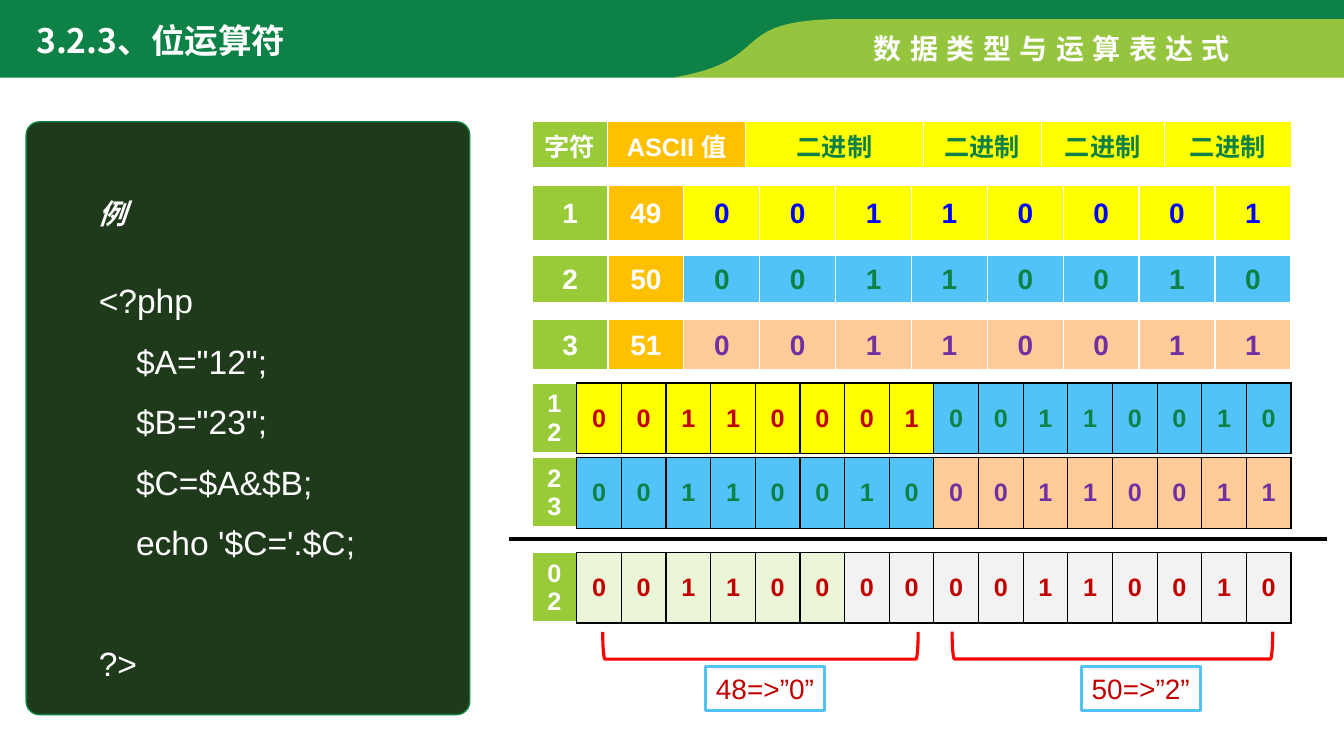
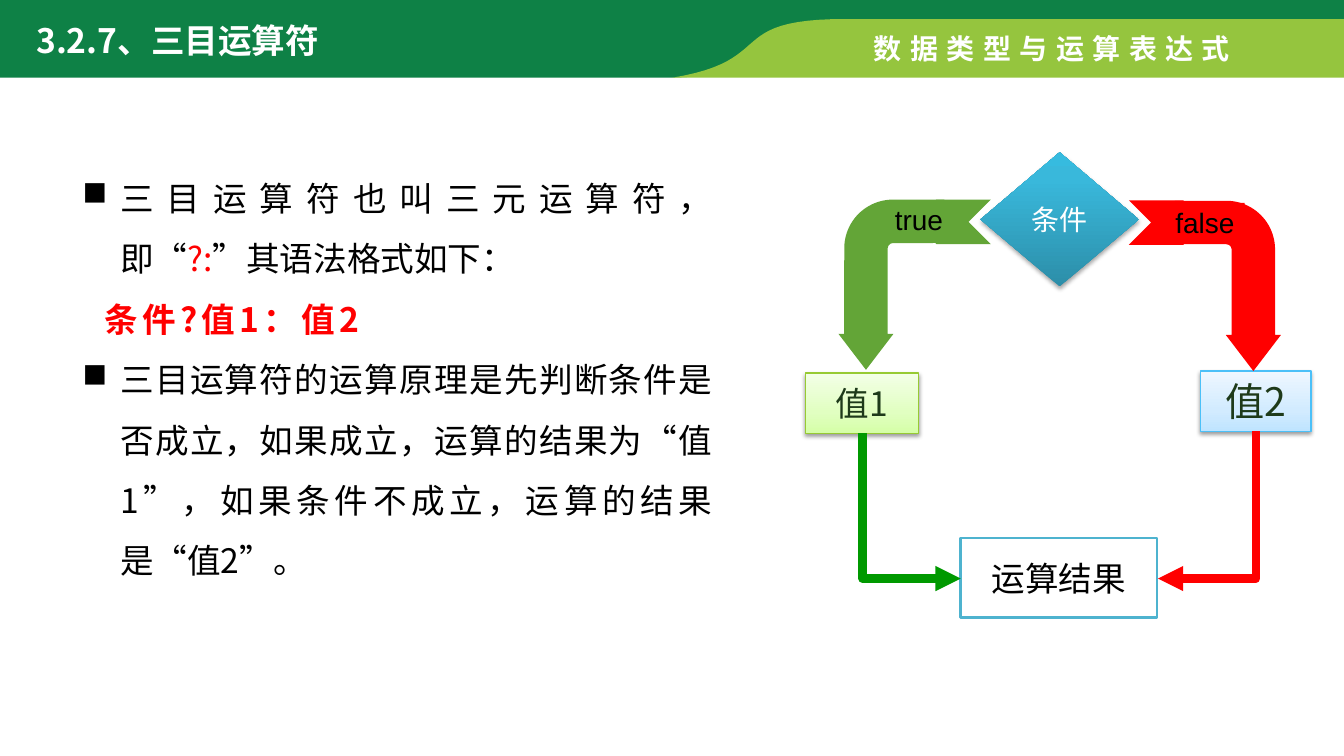
from pptx import Presentation, util as u
from pptx.dml.color import RGBColor
from pptx.enum import shapes as es, text as et
from pptx.oxml import parse_xml
from pptx.oxml.ns import nsdecls, qn
from lxml import etree

Cm, Pt = u.Cm, u.Pt
KIND, ALIGN = es.MSO_SHAPE, et.PP_ALIGN
MID, TOP = et.MSO_ANCHOR.MIDDLE, et.MSO_ANCHOR.TOP

WHITE = RGBColor(0xFF, 0xFF, 0xFF)
BLACK = RGBColor(0, 0, 0)
GREEN = RGBColor(0x0E, 0x81, 0x46)
LIME = RGBColor(0x95, 0xC5, 0x3E)
LEAF = RGBColor(0x99, 0xCB, 0x38)
DARK = RGBColor(0x1E, 0x3A, 0x1A)
GOLD = RGBColor(0xFF, 0xC0, 0x00)
YELLOW = RGBColor(0xFF, 0xFF, 0x00)
SKY = RGBColor(0x51, 0xC3, 0xF9)
PEACH = RGBColor(0xFF, 0xCC, 0x99)
MINT = RGBColor(0xEB, 0xF5, 0xD7)
PALE = RGBColor(0xF2, 0xF2, 0xF2)
BLUE = RGBColor(0, 0, 0xFF)
PURPLE = RGBColor(0x70, 0x30, 0xA0)
WINE = RGBColor(0xC0, 0, 0)
RED = RGBColor(0xFF, 0, 0)
GRASS = RGBColor(0x63, 0xA5, 0x37)
ARROW = RGBColor(0, 0x99, 0)
TEAL = RGBColor(0x4E, 0xB3, 0xCF)
EDGE_A = RGBColor(0x97, 0xCA, 0x33)
EDGE_B = RGBColor(0x4B, 0xC0, 0xF8)

LATIN, HAN = "Arial", "Noto Sans CJK SC"
WIDTH, HEIGHT = 33.87, 19.05


def write(par, text, size=20, color=BLACK, bold=False, italic=False,
          face=LATIN, track=0):
    """Add one run to a paragraph; track is the letter spacing in points."""
    run = par.add_run()
    run.text = text
    font = run.font
    font.size, font.bold, font.italic = Pt(size), bold, italic
    font.name, font.color.rgb = face, color
    props = run.font._element
    etree.SubElement(props, qn("a:ea")).set("typeface", HAN)
    if track:
        props.set("spc", str(track * 100))


def curve(a, b, c, d, steps=24):
    """Points of a cubic Bezier curve after its start a."""
    for i in range(1, steps + 1):
        t = i / steps
        s = 1 - t
        yield tuple(s**3 * p + 3 * s * s * t * q + 3 * s * t * t * r + t**3 * e
                    for p, q, r, e in zip(a, b, c, d))


def bits(word, fill, color):
    return [(bit, fill, color) for bit in word]


def edge(cell, side, color, width):
    cell._tc.get_or_add_tcPr().append(parse_xml(
        f'<a:ln{side} {nsdecls("a")} w="{int(Pt(width))}"><a:solidFill>'
        f'<a:srgbClr val="{color}"/></a:solidFill></a:ln{side}>'))


def turn(shape, **attrs):
    """Set rotation or flip attributes on the shape's transform."""
    xfrm = shape.element.spPr.find(qn("a:xfrm"))
    for key, val in attrs.items():
        xfrm.set(key, str(val))


def blend(shape, stops):
    """Fill from bottom to top with (percent, hex colour) stops."""
    shape.fill.gradient()
    shape.fill.gradient_angle = 90
    row = shape.element.spPr.find(qn("a:gradFill")).find(qn("a:gsLst"))
    for stop in list(row):
        row.remove(stop)
    for at, color in stops:
        stop = etree.SubElement(row, qn("a:gs"), pos=str(at * 1000))
        etree.SubElement(stop, qn("a:srgbClr"), val=color)


def shade(shape, alpha):
    """Drop a soft shadow straight down."""
    row = shape.element.spPr.find(qn("a:effectLst"))
    row.append(parse_xml(
        f'<a:outerShdw {nsdecls("a")} blurRad="39400" dist="21600" '
        f'dir="5400000" rotWithShape="0"><a:srgbClr val="000000">'
        f'<a:alpha val="{alpha * 1000}"/></a:srgbClr></a:outerShdw>'))


class Deck:
    def __init__(self):
        self.file = Presentation()
        self.file.slide_width, self.file.slide_height = Cm(WIDTH), Cm(HEIGHT)

    def start(self, title):
        """Open a slide with the shared bands, chapter name and title."""
        slide = self.file.slides.add_slide(self.file.slide_layouts[5])
        self.shapes = slide.shapes
        low = 1.96
        self.band(GREEN, [(0, 0), (WIDTH, 0), (WIDTH, 0.61), (21.01, 0.61),
                          (20.55, 0.71),
                          *curve((20.55, 0.71), (18.47, 1.12),
                                 (19.56, low), (16.64, low)), (0, low)])
        self.band(LIME, [(21.31, 0.48), (WIDTH, 0.48), (WIDTH, low),
                         (16.94, low),
                         *curve((16.94, low), (19.63, 1.52),
                                (18.21, 0.48), (21.31, 0.48))])
        self.label((21.77, 0.66, 9.78, 1.12), "数据类型与运算表达式",
                   wrap=False, color=WHITE, bold=True, track=6)
        head = self.shapes.title
        head.left, head.top, head.width, head.height = map(
            Cm, (0.66, 0.38, 12, 1.27))
        head.element.getparent().append(head.element)
        frame = head.text_frame
        frame.auto_size = et.MSO_AUTO_SIZE.NONE
        frame.vertical_anchor = MID
        par = frame.paragraphs[0]
        par.alignment = ALIGN.LEFT
        write(par, title, size=24, color=WHITE, bold=True, face=HAN)

    def band(self, fill, points):
        (x, y), *rest = [(Cm(a), Cm(b)) for a, b in points]
        pen = self.shapes.build_freeform(x, y)
        pen.add_line_segments(rest, close=True)
        self.paint(pen.convert_to_shape(), fill)

    def paint(self, shape, fill=None, line=None, width=1):
        shape.shadow.inherit = False
        if isinstance(fill, list):
            blend(shape, fill)
        elif fill is None:
            shape.fill.background()
        else:
            shape.fill.solid()
            shape.fill.fore_color.rgb = fill
        if line is None:
            shape.line.fill.background()
        else:
            shape.line.color.rgb, shape.line.width = line, Pt(width)

    def label(self, box, text="", wrap=True, **fmt):
        frame = self.shapes.add_textbox(*map(Cm, box)).text_frame
        frame.word_wrap, frame.vertical_anchor = wrap, TOP
        if text:
            write(frame.paragraphs[0], text, **fmt)
        return frame

    def block(self, kind, box, fill=None, line=None, width=1, text="",
              adj=(), **fmt):
        shape = self.shapes.add_shape(kind, *map(Cm, box))
        for i, val in enumerate(adj):
            shape.adjustments[i] = val
        self.paint(shape, fill, line, width)
        if text:
            frame = shape.text_frame
            frame.word_wrap, frame.vertical_anchor = False, MID
            frame.paragraphs[0].alignment = ALIGN.CENTER
            write(frame.paragraphs[0], text, **fmt)
        return shape

    def grid(self, y, high, widths, cells, size=20, ruled=False):
        """Draw a one-row table; cells are (text, fill, colour)."""
        table = self.shapes.add_table(1, len(cells), Cm(13.41), Cm(y),
                                      sum(widths), Cm(high)).table
        table.first_row = table.horz_banding = False
        for i, (text, fill, color) in enumerate(cells):
            table.columns[i].width = widths[i]
            cell = table.cell(0, i)
            boxed = ruled and i > 0
            rim = BLACK if boxed else WHITE
            edge(cell, "L", rim, 1)
            edge(cell, "R", BLACK if ruled else WHITE, 1)
            edge(cell, "T", rim, 1)
            edge(cell, "B", rim, 1 if boxed else 3)
            cell.fill.solid()
            cell.fill.fore_color.rgb = fill
            cell.vertical_anchor = MID
            par = cell.text_frame.paragraphs[0]
            par.alignment = ALIGN.CENTER
            write(par, text, size=size, color=color, bold=True)

    def rule(self, a, b, color, width):
        line = self.shapes.add_connector(es.MSO_CONNECTOR.STRAIGHT,
                                         *map(Cm, (*a, *b)))
        line.line.color.rgb, line.line.width = color, Pt(width)
        etree.SubElement(line.element.spPr, qn("a:effectLst"))
        return line

    def elbow(self, a, b, color):
        """Arrow that runs down from a, then sideways into b."""
        (x, y), (p, q) = a, b
        mx, my = (x + p) / 2, (y + q) / 2
        side = 1 if p > x else -1
        dx, dy = side * (q - y) / 2, abs(p - x) / 2
        line = self.rule((mx + dx, my - dy), (mx - dx, my + dy), color, 6)
        line.element.spPr.find(qn("a:prstGeom")).set("prst", "bentConnector2")
        turn(line, rot=(270 if side > 0 else 90) * 60000)
        etree.SubElement(line.element.spPr.find(qn("a:ln")),
                         qn("a:tailEnd"), type="triangle")


def bitwise(deck):
    deck.start("3.2.3、位运算符")
    deck.block(KIND.ROUNDED_RECTANGLE, (0.66, 3.07, 11.18, 14.94), DARK, GREEN,
               adj=[0.03])
    deck.label((2.24, 4.83, 2, 1.27), "例", color=WHITE, bold=True, italic=True)
    frame = deck.label((2.24, 6.43, 8.76, 11))
    code = ["<?php", "    $A=\"12\";", "    $B=\"23\";", "    $C=$A&$B;",
            "    echo '$C='.$C;", "?>"]
    for i, row in enumerate(code):
        par = frame.add_paragraph() if i else frame.paragraphs[0]
        par.line_spacing = 1.5
        write(par, row, size=24, color=WHITE)
    par.space_before = Pt(43)

    heads = [("字符", LEAF, WHITE), ("ASCII 值", GOLD, WHITE)]
    deck.grid(3.07, 1.19, [Cm(w) for w in (1.9, 3.48, 4.48, 2.97, 3.1, 3.2)],
              heads + [("二进制", YELLOW, GREEN)] * 4, size=18)
    span = 19.13
    one, two, three = "00110001", "00110010", "00110011"
    for y, high, char, num, word, fill, color in [
            (4.67, 1.42, "1", "49", one, YELLOW, BLUE),
            (6.43, 1.22, "2", "50", two, SKY, GREEN),
            (8.05, 1.3, "3", "51", three, PEACH, PURPLE)]:
        deck.grid(y, high, [Cm(span / 10)] * 10,
                  [(char, LEAF, WHITE), (num, GOLD, WHITE)]
                  + bits(word, fill, color))
    for y, pair, cells in [
            (9.65, "12", bits(one, YELLOW, WINE) + bits(two, SKY, GREEN)),
            (11.53, "23", bits(two, SKY, GREEN) + bits(three, PEACH, PURPLE)),
            (13.92, "02", bits("001100", MINT, WINE)
             + bits("00" + two, PALE, WINE))]:
        deck.grid(y, 1.65, [Cm(span / 17)] * 17,
                  [(pair, LEAF, WHITE)] + cells, size=18, ruled=True)
    deck.rule((12.83, 13.59), (33.43, 13.59), BLACK, 3)

    for x, y, long, left, text in [(18.82, 12.29, 7.95, 17.78, "48=>”0”"),
                                   (27.69, 12.22, 8.08, 27.25, "50=>”2”")]:
        brace = deck.block(KIND.LEFT_BRACKET, (x, y, 0.69, long),
                           line=RED, width=2.25)
        brace.rotation = 270
        deck.block(KIND.RECTANGLE, (left, 16.79, 3, 1.12), WHITE, SKY, 2,
                   text, color=WINE)


def ternary(deck):
    deck.start("3.2.7、三目运算符")
    frame = deck.label((1.83, 3.84, 16.38, 11.02))
    plain = dict(size=24, face=HAN)
    red = dict(plain, color=RED)
    strong = dict(red, bold=True, track=3)
    paras = [
        (True, [("三目运算符也叫三元运算符，即“", plain), ("?:", red),
                ("”其语法格式如下：", plain)]),
        (False, [("条件?值1：值2", strong)]),
        (True, [("三目运算符的运算原理是先判断条件是否成立，如果成立，运算的结果为“值1”，"
                 "如果条件不成立，运算的结果是“值2”。", plain)])]
    for i, (dot, runs) in enumerate(paras):
        par = frame.add_paragraph() if i else frame.paragraphs[0]
        par.alignment, par.line_spacing = ALIGN.JUSTIFY, 1.5
        props = par._p.get_or_add_pPr()
        inset = int(Cm(0.95 if dot else 0.56))
        props.set("marL", str(inset))
        props.set("indent", str(-inset if dot else 0))
        if dot:
            etree.SubElement(props, qn("a:buChar"), char="■")
        for text, fmt in runs:
            write(par, text, **fmt)

    choice = deck.block(KIND.DIAMOND, (24.71, 3.84, 3.99, 3.38),
                        [(0, "2C8EA9"), (80, "39B8DB"), (100, "36BBDF")],
                        text="条件", color=WHITE, face=HAN)
    shade(choice, 35)
    for box, tones, rim, text, size in [
            ((20.29, 9.4, 2.87, 1.52), ("D5FFA7", "E1FFC1", "F3FFE7"),
             EDGE_A, "值1", 24),
            ((30.25, 9.35, 2.79, 1.52), ("BFE4FF", "D2EBFF", "EEF7FF"),
             EDGE_B, "值2", 28)]:
        value = deck.block(KIND.RECTANGLE, box, list(zip((0, 35, 100), tones)),
                           rim, 0.75, text, size=size, color=DARK, face=HAN)
        shade(value, 38)
    deck.block(KIND.RECTANGLE, (24.21, 13.56, 4.95, 2.01), WHITE, TEAL, 2,
               "运算结果", size=24, face=HAN)

    for fill, notch, bend, angle, flip in [
            (GRASS, (23.04, 5.03), (20.32, 5.84), 270, 1),
            (RED, (28.45, 5.05), (28.8, 5.87), 90, 0)]:
        tip = deck.block(KIND.CHEVRON, (*notch, 1.93, 1.12), fill)
        arm = deck.block(KIND.BENT_ARROW, (*bend, 4.29, 2.67), fill,
                         adj=[0.41, 0.26, 0.34, 0.46])
        arm.rotation = angle
        for part in (tip, arm):
            turn(part, flipH=flip)
    deck.label((22.3, 4.98, 1.73, 1.12), "true", wrap=False)
    deck.block(KIND.RECTANGLE, (29.36, 5.11, 2.01, 0.99), RED, text="false")
    deck.elbow((21.74, 10.92), (24.21, 14.58), ARROW)
    deck.elbow((31.65, 10.87), (29.18, 14.58), RED)


def main():
    deck = Deck()
    bitwise(deck)
    ternary(deck)
    deck.file.save("out.pptx")


if __name__ == "__main__":
    main()
